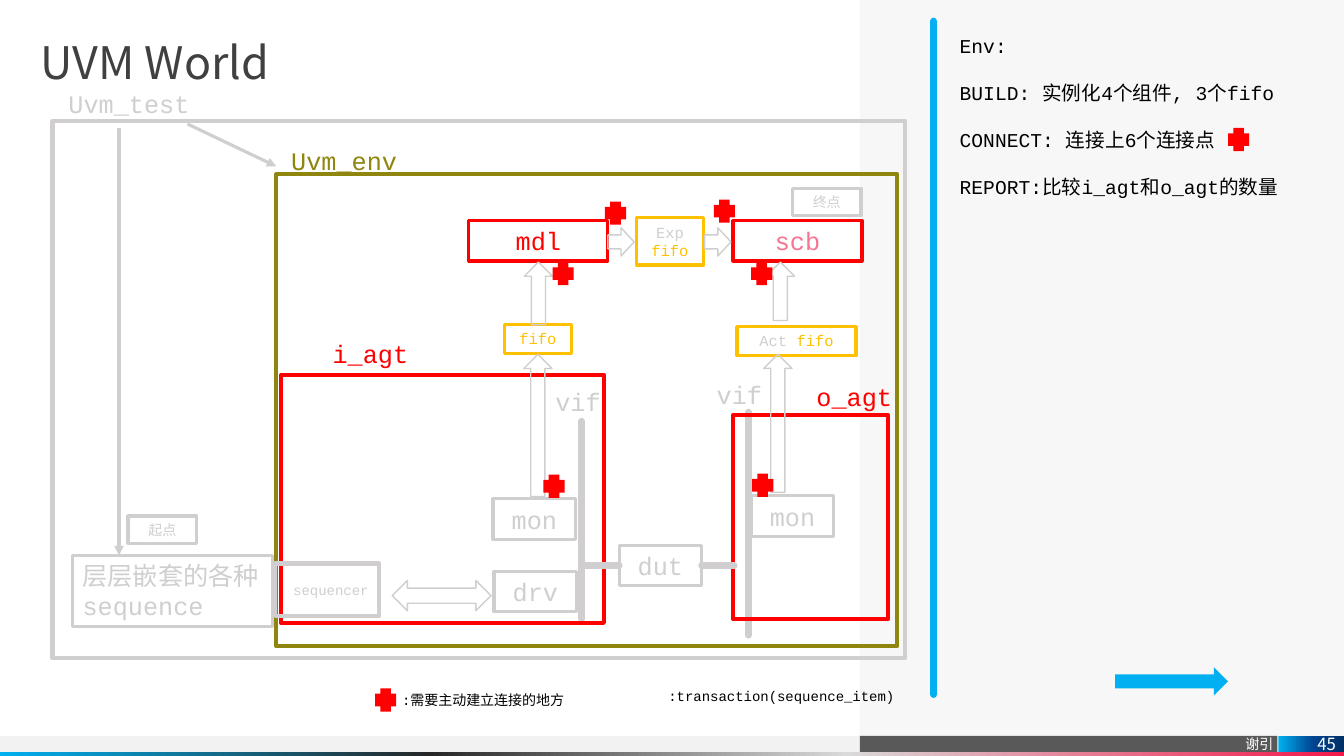
from lxml import etree
from pptx import Presentation
from pptx.dml.color import RGBColor
from pptx.enum.shapes import MSO_CONNECTOR, MSO_SHAPE
from pptx.enum.text import MSO_ANCHOR, PP_ALIGN
from pptx.oxml import parse_xml
from pptx.oxml.ns import nsdecls, qn
from pptx.util import Inches, Pt

MONO, SANS = "Courier New", "Noto Sans CJK SC"
GREY, RED, AMBER, OLIVE, BLUE = "D0CECE", "FF0000", "FFC000", "8E860E", "00B0F0"
PINK, BLACK, WHITE = "F77592", "000000", "FFFFFF"

# Places are left, top, width, height in inches.
BANDS = [((-0.01, 7.3, 10.29, 0.16), "F2F2F2"), ((8.53, 0, 4.8, 7.3), "F7F7F7")]
RAINBOW = [(0, BLUE), (32, "262626"), (63, "D9D9D9"), (100, "F2194A")]
NUMBER_BLUES = [(0, BLUE), (53, "004490"), (100, "003065")]

OUTER_FRAMES = [((0.52, 1.2, 8.46, 5.33), GREY), ((2.74, 1.73, 6.16, 4.68), OLIVE)]
AGENT_FRAMES = [((2.79, 3.72, 3.2, 2.46), RED), ((7.27, 4.12, 1.54, 2.02), RED),
                ((2.73, 5.59, 1.03, 0.52), GREY)]
BARS = [((9.26, 0.21), (9.26, 6.89), BLUE),
        ((5.77, 4.18), (5.77, 6.14), GREY),
        ((7.42, 4.09), (7.42, 6.3), GREY)]
POINTERS = [((1.86, 1.23), (2.74, 1.65)), ((1.18, 1.27), (1.18, 5.51))]

LABELS = [
    ((0.58, 0.83, 1.55, 0.4), "Uvm_test", 18, GREY),
    ((2.79, 1.39, 1.55, 0.4), "Uvm_env", 18, OLIVE),
    ((5.41, 3.78, 0.73, 0.4), "vif", 18, GREY),
    ((7.01, 3.71, 0.73, 0.4), "vif", 18, GREY),
    ((3.2, 3.31, 1.14, 0.4), "i_agt", 18, RED),
    ((8, 3.73, 1.14, 0.4), "o_agt", 18, RED),
    ((2.81, 5.72, 1.63, 0.27), "sequencer", 10, GREY),
    ((3.89, 6.81, 2.07, 0.27), ":需要主动建立连接的地方", 10, BLACK),
    ((6.53, 6.77, 2.52, 0.27), ":transaction(sequence_item)", 10, BLACK),
]
# Each box: place, border, size, paragraphs of (text, colour) runs.
DUT = ((6.14, 5.41, 0.82, 0.4), GREY, 18, [[("dut", GREY)]])
BOXES = [
    ((4.9, 5.67, 0.82, 0.4), GREY, 18, [[("drv", GREY)]]),
    ((4.89, 4.95, 0.82, 0.4), GREY, 18, [[("mon", GREY)]]),
    ((7.45, 4.92, 0.82, 0.4), GREY, 18, [[("mon", GREY)]]),
    ((7.27, 2.19, 1.28, 0.4), RED, 18, [[("scb", PINK)]]),
    ((4.65, 2.19, 1.38, 0.4), RED, 18, [[("mdl", RED)]]),
    ((5, 3.22, 0.67, 0.29), AMBER, 11, [[("fifo", AMBER)]]),
    ((7.31, 3.24, 1.18, 0.29), AMBER, 11, [[("Act ", GREY), ("fifo", AMBER)]]),
    ((6.31, 2.16, 0.67, 0.47), AMBER, 11, [[("Exp", GREY)], [("fifo", AMBER)]]),
    ((1.27, 5.12, 0.68, 0.27), GREY, 10, [[("起点", GREY)]]),
    ((7.86, 1.87, 0.68, 0.27), GREY, 10, [[("终点", GREY)]]),
]
SEQUENCE_PLACE = (0.72, 5.51, 1.98, 0.71)
UP_ARROWS = [(4.63, 4.08, 1.41, 0.28), (7.03, 4.06, 1.37, 0.28),
             (5.03, 2.77, 0.62, 0.28), (7.45, 2.75, 0.58, 0.28)]
RIGHT_ARROWS = [(6.03, 2.26, 0.26, 0.28), (6.99, 2.26, 0.26, 0.28)]
CONNECTION_POINTS = [(3.72, 6.83), (6, 2), (7.08, 1.98), (5.48, 2.6),
                     (7.46, 4.7), (5.39, 4.71), (12.18, 1.27), (7.45, 2.6)]
NOTES = ["Env:", "BUILD: 实例化4个组件, 3个fifo", "CONNECT: 连接上6个连接点",
         "REPORT:比较i_agt和o_agt的数量"]

presentation = Presentation()
presentation.slide_width, presentation.slide_height = Inches(13.33), Inches(7.5)
slide = presentation.slides.add_slide(presentation.slide_layouts[6])


def color(value):
    return RGBColor.from_string(value)


def write(shape, paragraphs, size, font=MONO, align=PP_ALIGN.LEFT, anchor=MSO_ANCHOR.TOP,
          insets=(0.1, 0.05, 0.1, 0.05), line_spacing=None, space_after=None):
    """Fill a shape with paragraphs, each a list of (text, colour) runs."""
    frame = shape.text_frame
    frame.word_wrap = True
    frame.vertical_anchor = anchor
    frame.margin_left, frame.margin_top, frame.margin_right, frame.margin_bottom = map(Inches, insets)
    for index, runs in enumerate(paragraphs):
        paragraph = frame.add_paragraph() if index else frame.paragraphs[0]
        paragraph.alignment = align
        paragraph.line_spacing = line_spacing
        paragraph.space_after = space_after
        for text, text_color in runs:
            run = paragraph.add_run()
            run.text = text
            run.font.size = Pt(size)
            run.font.name = font
            run.font.color.rgb = color(text_color)
            east_asian = etree.SubElement(run.font._element, qn("a:ea"))
            east_asian.set("typeface", SANS)


def add_text(place, paragraphs, size, **text_format):
    write(slide.shapes.add_textbox(*map(Inches, place)), paragraphs, size, **text_format)


def add_block(place, kind=MSO_SHAPE.RECTANGLE, fill=None, line=None, width=1, rotation=0):
    shape = slide.shapes.add_shape(kind, *map(Inches, place))
    shape.shadow.inherit = False
    shape.rotation = rotation
    if fill:
        shape.fill.solid()
        shape.fill.fore_color.rgb = color(fill)
    else:
        shape.fill.background()
    if line:
        shape.line.color.rgb = color(line)
        shape.line.width = Pt(width)
    else:
        shape.line.fill.background()
    return shape


def add_gradient(place, stops):
    """Add a rectangle whose colours run from left to right."""
    shape = add_block(place)
    marks = "".join(f'<a:gs pos="{position * 1000}"><a:srgbClr val="{value}"/></a:gs>'
                    for position, value in stops)
    gradient = parse_xml(f'<a:gradFill {nsdecls("a")} rotWithShape="1"><a:gsLst>{marks}</a:gsLst>'
                         '<a:lin ang="0" scaled="0"/></a:gradFill>')
    properties = shape._element.spPr
    properties.replace(properties.find(qn("a:noFill")), gradient)
    return shape


def add_line(start, end, line_color, width, arrow=False):
    connector = slide.shapes.add_connector(MSO_CONNECTOR.STRAIGHT, *map(Inches, start + end))
    connector.line.color.rgb = color(line_color)
    connector.line.width = Pt(width)
    outline = connector.line._get_or_add_ln()
    if arrow:
        etree.SubElement(outline, qn("a:tailEnd")).set("type", "triangle")
    else:
        outline.set("cap", "rnd")
    etree.SubElement(connector._element.spPr, qn("a:effectLst"))
    return connector


def add_box(place, border, size, paragraphs, align=PP_ALIGN.CENTER):
    box = add_block(place, line=border, width=2.25)
    write(box, paragraphs, size, align=align)
    return box


for place, fill in BANDS:
    add_block(place, fill=fill)
footer = add_block((8.53, 7.3, 4.14, 0.16), fill="595959")
write(footer, [[("谢引", WHITE)]], 10, font=SANS, align=PP_ALIGN.RIGHT,
      anchor=MSO_ANCHOR.BOTTOM, insets=(0.1, 0, 0.04, 0))
add_gradient((-0.01, 7.46, 13.34, 0.04), RAINBOW)
page_number = add_gradient((12.68, 7.3, 0.65, 0.16), NUMBER_BLUES)
write(page_number, [[("45", WHITE)]], 12, font=SANS, align=PP_ALIGN.RIGHT,
      anchor=MSO_ANCHOR.MIDDLE, insets=(0, 0, 0.08, 0))
add_text((0.4, 0.4, 7.65, 0.59), [[("UVM World", "404040")]], 32, font=SANS,
         insets=(0, 0, 0, 0), line_spacing=0.9)

for start, end, line_color in BARS:
    add_line(start, end, line_color, 5)
for place, border in OUTER_FRAMES + AGENT_FRAMES:
    add_block(place, line=border, width=3)
for place, text, size, text_color in LABELS:
    add_text(place, [[(text, text_color)]], size)
add_text((9.42, 0.28, 3.91, 1.99), [[(note, BLACK)] for note in NOTES], 14,
         line_spacing=Pt(17), space_after=Pt(16.6))

dut = add_box(*DUT)
add_line((5.79, 5.61), (6.14, 5.61), GREY, 5).end_connect(dut, 1)
add_line((6.96, 5.61), (7.28, 5.61), GREY, 5).begin_connect(dut, 3)
for box in BOXES:
    add_box(*box)
add_box(SEQUENCE_PLACE, GREY, 18, [[("层层嵌套的各种sequence", GREY)]], align=PP_ALIGN.LEFT)

for start, end in POINTERS:
    add_line(start, end, GREY, 2.25, arrow=True)
for place in UP_ARROWS:
    add_block(place, MSO_SHAPE.RIGHT_ARROW, line=GREY, rotation=270)
for place in RIGHT_ARROWS:
    add_block(place, MSO_SHAPE.RIGHT_ARROW, line=GREY)
add_block((3.89, 5.76, 0.98, 0.3), MSO_SHAPE.LEFT_RIGHT_ARROW, line=GREY)
add_block((11.06, 6.62, 1.12, 0.28), MSO_SHAPE.RIGHT_ARROW, fill=BLUE)
for left, top in CONNECTION_POINTS:
    add_block((left, top, 0.21, 0.23), MSO_SHAPE.CROSS, fill=RED)

presentation.save("out.pptx")
